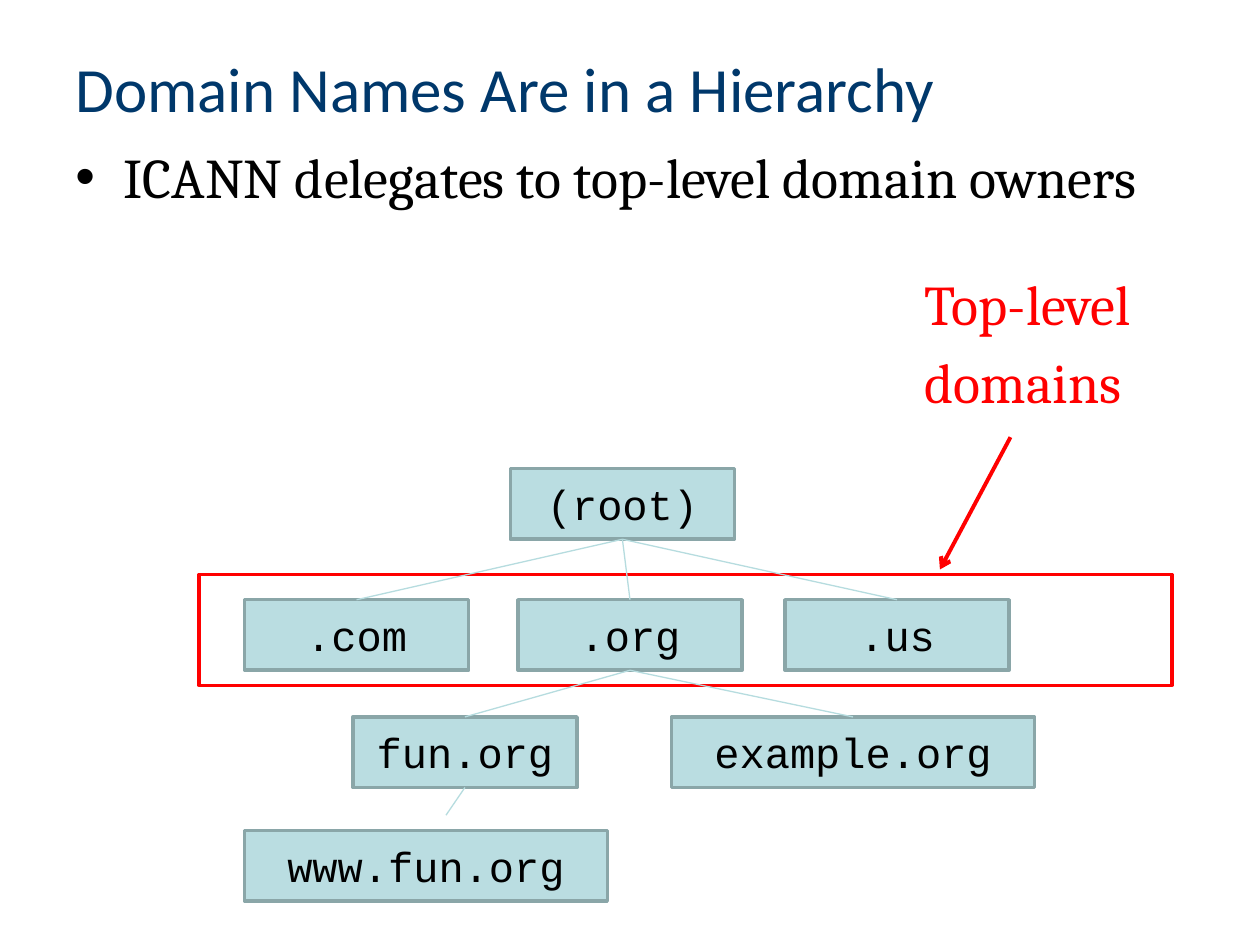
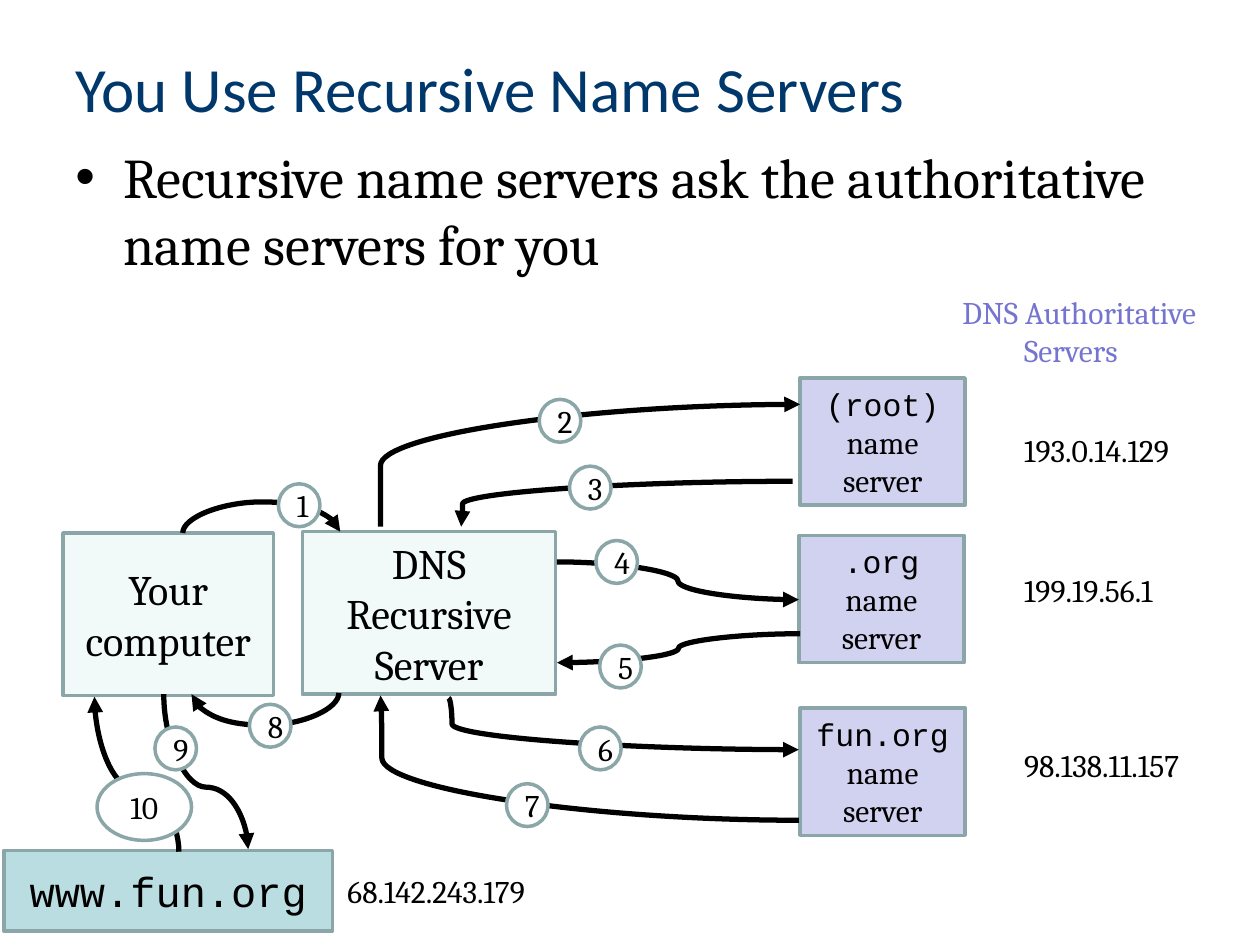
import math

import pptx
import pptx.dml.color
import pptx.enum.shapes
import pptx.enum.text
import pptx.oxml
import pptx.oxml.ns
import pptx.util

RGB = pptx.dml.color.RGBColor
KIND = pptx.enum.shapes.MSO_SHAPE
LINK = pptx.enum.shapes.MSO_CONNECTOR
ALIGN = pptx.enum.text.PP_ALIGN
ANCHOR = pptx.enum.text.MSO_ANCHOR
FIT = pptx.enum.text.MSO_AUTO_SIZE
Pt = pptx.util.Pt
qn = pptx.oxml.ns.qn

NAVY = RGB(0x00, 0x38, 0x6B)
BLACK = RGB(0x00, 0x00, 0x00)
WHITE = RGB(0xFF, 0xFF, 0xFF)
RED = RGB(0xFF, 0x00, 0x00)
TEAL = RGB(0xBA, 0xDD, 0xE1)
MINT = RGB(0xF1, 0xF9, 0xF9)
LILAC = RGB(0xD1, 0xD1, 0xF0)
VIOLET = RGB(0x75, 0x75, 0xD1)
EDGE = RGB(0x8A, 0xA6, 0xA8)
PALE = RGB(0xB6, 0xDC, 0xDF)

HEAD, SERIF, MONO = "Calibri", "Cambria", "Courier New"
SCALE = 9144  # EMU per px, 100 px to the inch


def emu(*sizes):
    return [round(size * SCALE) for size in sizes]


def add_node(parent, tag, **attrs):
    node = pptx.oxml.parse_xml(f"<{tag} {pptx.oxml.ns.nsdecls('a')}/>")
    for name, value in attrs.items():
        node.set(name, str(value))
    parent.append(node)


class Deck:
    def __init__(self):
        self.file = pptx.Presentation()
        self.file.slide_width, self.file.slide_height = emu(1000, 750)
        self.slide = None

    def start(self, title, point):
        """Open a slide with its title and its one bullet."""
        self.slide = self.file.slides.add_slide(self.file.slide_layouts[6])
        head = self.text((50, 30, 900, 78), [title], 36, NAVY, HEAD)
        head.vertical_anchor = ANCHOR.MIDDLE
        body = self.text((50, 108, 900, 495), [point], 32, gap=6.4)
        props = body.paragraphs[0]._p.get_or_add_pPr()
        margin = emu(38)[0]
        props.set("marL", str(margin))
        props.set("indent", str(-margin))
        mark = props.find(qn("a:defRPr"))
        add_node(props, "a:buFont", typeface="Arial")
        add_node(props, "a:buChar", char="•")
        props.append(mark)

    def fill_text(self, frame, lines, size, color, fonts, align=None, gap=None):
        """Fill a frame; fonts is one name, or one name for each line."""
        if isinstance(fonts, str):
            fonts = [fonts] * len(lines)
        for i, (line, font) in enumerate(zip(lines, fonts)):
            para = frame.paragraphs[0] if i == 0 else frame.add_paragraph()
            para.text = line
            para.alignment = align
            if gap:
                para.space_before = Pt(gap)
            para.font.name = font
            para.font.size = Pt(size)
            para.font.color.rgb = color

    def text(self, box, lines, size, color=BLACK, font=SERIF, gap=None):
        frame = self.slide.shapes.add_textbox(*emu(*box)).text_frame
        frame.word_wrap = True
        self.fill_text(frame, lines, size, color, font, gap=gap)
        return frame

    def label(self, box, lines, color=BLACK):
        """Small text that does not wrap."""
        frame = self.text(box, lines, 18, color)
        frame.word_wrap = False
        frame.auto_size = FIT.SHAPE_TO_FIT_TEXT
        return frame

    def shape(self, box, lines=(), fill=None, edge=EDGE, size=24, fonts=MONO,
              kind=KIND.RECTANGLE):
        item = self.slide.shapes.add_shape(kind, *emu(*box))
        item.shadow.inherit = False
        if fill is None:
            item.fill.background()
        else:
            item.fill.solid()
            item.fill.fore_color.rgb = fill
        item.line.color.rgb = edge
        item.line.width = Pt(2)
        item.text_frame.vertical_anchor = ANCHOR.MIDDLE
        self.fill_text(item.text_frame, lines, size, BLACK, fonts, ALIGN.CENTER)
        return item

    def badge(self, number, x, y, w=33, h=34):
        self.shape((x, y, w, h), [str(number)], WHITE, size=18, fonts=SERIF,
                   kind=KIND.OVAL)

    def link(self, start, end, color, width, kind=LINK.STRAIGHT, tip=None,
             side="tailEnd"):
        line = self.slide.shapes.add_connector(kind, *emu(*start, *end))
        line.line.color.rgb = color
        line.line.width = Pt(width)
        props = line.element.spPr
        if tip:
            add_node(props.find(qn("a:ln")), f"a:{side}", type=tip)
        add_node(props, "a:effectLst")
        return line

    def curve(self, start, end, bend, turn=0, side="tailEnd"):
        """Curved arrow whose frame is turned by some degrees about its middle."""
        (x1, y1), (x2, y2) = start, end
        cos = round(math.cos(math.radians(turn)))
        sin = round(math.sin(math.radians(turn)))
        w = (x2 - x1) * cos + (y2 - y1) * sin
        h = (y2 - y1) * cos - (x2 - x1) * sin
        x, y = (x1 + x2) / 2, (y1 + y2) / 2
        line = self.link((x - w / 2, y - h / 2), (x + w / 2, y + h / 2),
                         BLACK, 3, LINK.CURVE, "triangle", side)
        props = line.element.spPr
        if turn:
            props.find(qn("a:xfrm")).set("rot", str(turn * 60000))
        guides = props.find(qn("a:prstGeom")).find(qn("a:avLst"))
        add_node(guides, "a:gd", name="adj1", fmla=f"val {round(bend * 100000)}")


def draw_tree(deck):
    deck.start("Domain Names Are in a Hierarchy",
               "ICANN delegates to top-level domain owners")
    deck.shape((158, 456, 772, 88), edge=RED)
    deck.text((724, 209, 239, 138), ["Top-level", "domains"], 32, RED, gap=6.4)

    nodes = {}
    for name, x, y, w in [
        ("(root)", 405, 372, 178),
        (".com", 194, 476, 178),
        (".org", 411, 476, 178),
        (".us", 623, 476, 178),
        ("fun.org", 280, 569, 178),
        ("example.org", 533, 569, 288),
        ("www.fun.org", 194, 659, 288),
    ]:
        nodes[name] = deck.shape((x, y, w, 56), [name], TEAL)

    for top, low in [("(root)", ".com"), ("(root)", ".org"), ("(root)", ".us"),
                     (".org", "fun.org"), (".org", "example.org")]:
        line = deck.link((0, 0), (0, 0), PALE, 0.75)
        line.begin_connect(nodes[top], 2)
        line.end_connect(nodes[low], 0)
    stub = deck.link((369, 625), (354, 647), PALE, 0.75)
    stub.begin_connect(nodes["fun.org"], 2)
    deck.link((802, 347), (746, 452), RED, 2.25, tip="arrow")


def draw_lookup(deck):
    deck.start("You Use Recursive Name Servers",
               "Recursive name servers ask the authoritative name servers for you")
    deck.shape((50, 423, 167, 129), ["Your computer"], MINT, fonts=SERIF)
    deck.shape((240, 422, 201, 129), ["DNS", "Recursive", "Server"], MINT,
               fonts=SERIF)
    deck.shape((3, 675, 261, 64), ["www.fun.org"], TEAL)
    for zone, x, y in [("(root)", 635, 300), (".org", 634, 425),
                       ("fun.org", 635, 562)]:
        deck.shape((x, y, 131, 101), [zone, "name server"], LILAC, size=18,
                   fonts=[MONO, SERIF])

    for start, end, bend, turn, side in [
        ((145, 423), (270, 422), 25, 90, "tailEnd"),
        ((302, 418), (635, 321), 0, 0, "tailEnd"),
        ((629, 382), (366, 418), 0.996, 180, "tailEnd"),
        ((442, 446), (634, 476), 0.5, 0, "tailEnd"),
        ((635, 503), (442, 526), 0.5, 180, "tailEnd"),
        ((356, 554), (634, 595), 0.01, 0, "tailEnd"),
        ((634, 651), (302, 552), 0.997, 180, "tailEnd"),
        ((152, 551), (269, 550), -25, 90, "headEnd"),
        ((130, 551), (197, 674), 0.6, 270, "tailEnd"),
        ((75, 553), (142, 676), 0.6, 270, "headEnd"),
    ]:
        deck.curve(start, end, bend, turn, side)

    spots = [(221, 384), (428, 317), (452, 370), (473, 429), (476, 512),
             (460, 577), (402, 622), (198, 559), (123, 577)]
    for number, (x, y) in enumerate(spots, 1):
        deck.badge(number, x, y)
    deck.badge(10, 77, 614, 75, 53)

    note = deck.label((754, 228, 228, 71), ["DNS Authoritative", "Servers"],
                      VIOLET)
    note.paragraphs[1]._p.get_or_add_pPr().set("marL", str(emu(49)[0]))
    for host, x, y, w in [
        ("193.0.14.129", 803, 337, 159),
        ("199.19.56.1", 803, 448, 143),
        ("98.138.11.157", 803, 587, 168),
        ("68.142.243.179", 266, 687, 196),
    ]:
        deck.label((x, y, w, 40), [host])


def main():
    deck = Deck()
    draw_tree(deck)
    draw_lookup(deck)
    deck.file.save("out.pptx")


if __name__ == "__main__":
    main()
